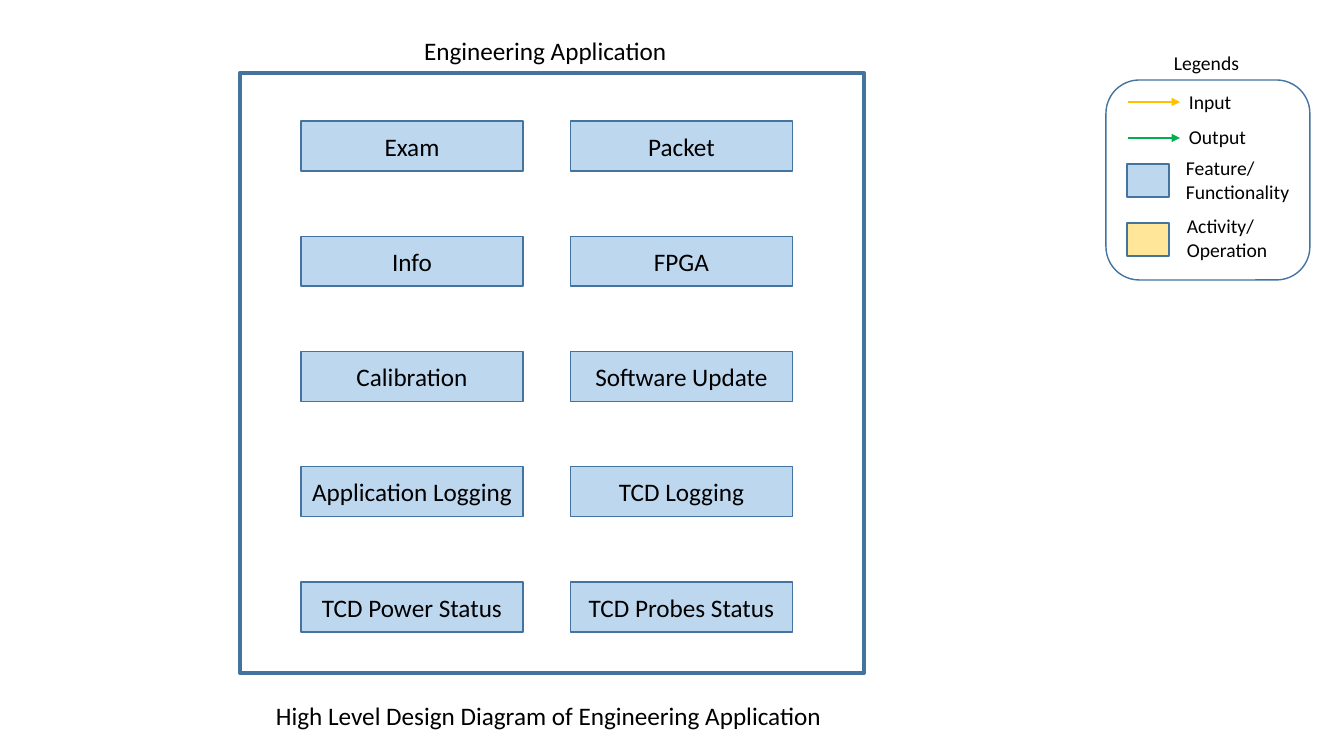
import lxml.etree
import pptx
import pptx.dml.color
import pptx.enum.dml
import pptx.enum.shapes
import pptx.enum.text
import pptx.oxml.ns
import pptx.util

EMU_PER_PIXEL = 914400 / 100.8
BLACK = pptx.dml.color.RGBColor(0x00, 0x00, 0x00)
BORDER_BLUE = pptx.dml.color.RGBColor(0x43, 0x73, 0x9E)
FEATURE_BLUE = pptx.dml.color.RGBColor(0xBD, 0xD7, 0xEE)
ACTIVITY_YELLOW = pptx.dml.color.RGBColor(0xFF, 0xE6, 0x99)
INPUT_ORANGE = pptx.dml.color.RGBColor(0xFF, 0xC0, 0x00)
OUTPUT_GREEN = pptx.dml.color.RGBColor(0x00, 0xB0, 0x50)
RECTANGLE = pptx.enum.shapes.MSO_SHAPE.RECTANGLE
ROUNDED = pptx.enum.shapes.MSO_SHAPE.ROUNDED_RECTANGLE
LEFT = pptx.enum.text.PP_ALIGN.LEFT
CENTER = pptx.enum.text.PP_ALIGN.CENTER


def add_box(shapes, kind, bounds, fill=None, line_width=1):
    shape = shapes.add_shape(kind, *[round(value * EMU_PER_PIXEL) for value in bounds])
    shape.shadow.inherit = False
    if fill is None:
        shape.fill.background()
    else:
        shape.fill.solid()
        shape.fill.fore_color.rgb = fill
    shape.line.color.rgb = BORDER_BLUE
    shape.line.width = pptx.util.Pt(line_width)
    return shape


def write_text(shape, text, size, alignment=LEFT, bounds=None):
    frame = shape.text_frame
    frame.text = text
    frame.word_wrap = alignment == CENTER
    if bounds:
        shape.left, shape.top, shape.width, shape.height = [
            round(value * EMU_PER_PIXEL) for value in bounds]
        frame.vertical_anchor = pptx.enum.text.MSO_ANCHOR.TOP
        frame.auto_size = pptx.enum.text.MSO_AUTO_SIZE.SHAPE_TO_FIT_TEXT
    for paragraph in frame.paragraphs:
        paragraph.alignment = alignment
        paragraph.font.name = "Calibri"
        paragraph.font.size = pptx.util.Pt(size)
        paragraph.font.color.rgb = BLACK


presentation = pptx.Presentation()
presentation.slide_width = round(1344 * EMU_PER_PIXEL)
presentation.slide_height = round(756 * EMU_PER_PIXEL)
slide = presentation.slides.add_slide(presentation.slide_layouts[5])

# Heading and caption
write_text(slide.shapes.title, "Engineering Application", 18, bounds=(414, 30, 266, 41))
caption = slide.shapes.add_textbox(0, 0, 0, 0)
write_text(caption, "High Level Design Diagram of Engineering Application", 18,
           bounds=(266, 695, 573, 41))

# Application frame with its grid of features
add_box(slide.shapes, RECTANGLE, (240, 73, 624, 600), line_width=3)
features = [
    ("Exam", "Packet"),
    ("Info", "FPGA"),
    ("Calibration", "Software Update"),
    ("Application Logging", "TCD Logging"),
    ("TCD Power Status", "TCD Probes Status"),
]
for row, names in enumerate(features):
    for column, name in enumerate(names):
        bounds = (301 + column * 269.5, 121 + row * 115.25, 222, 50)
        feature = add_box(slide.shapes, RECTANGLE, bounds, FEATURE_BLUE)
        write_text(feature, name, 18, CENTER)

# Legend panel
legend = slide.shapes.add_group_shape().shapes
add_box(legend, ROUNDED, (1106, 80, 204, 200))

# Legend arrows
for y, color in [(102, INPUT_ORANGE), (138, OUTPUT_GREEN)]:
    arrow = legend.add_connector(
        pptx.enum.shapes.MSO_CONNECTOR.STRAIGHT,
        *[round(value * EMU_PER_PIXEL) for value in (1128, y, 1180, y)])
    arrow.line.color.rgb = color
    arrow.line.width = pptx.util.Pt(1.5)
    line = arrow.line._get_or_add_ln()
    lxml.etree.SubElement(line, pptx.oxml.ns.qn("a:tailEnd"), type="triangle")
    lxml.etree.SubElement(arrow._element.spPr, pptx.oxml.ns.qn("a:effectLst"))

# Legend swatches
for y, color in [(164, FEATURE_BLUE), (223, ACTIVITY_YELLOW)]:
    add_box(legend, RECTANGLE, (1127, y, 42, 33), color)

# Legend labels
labels = [
    ("Legends", (1164, 46, 87, 34)),
    ("Input", (1179, 85, 64, 34)),
    ("Output", (1179, 120, 79, 34)),
    ("Feature/\nFunctionality", (1176, 151, 125, 57)),
    ("Activity/\nOperation", (1177, 209, 102, 57)),
]
for text, bounds in labels:
    write_text(legend.add_textbox(0, 0, 0, 0), text, 14, bounds=bounds)

presentation.save("out.pptx")
